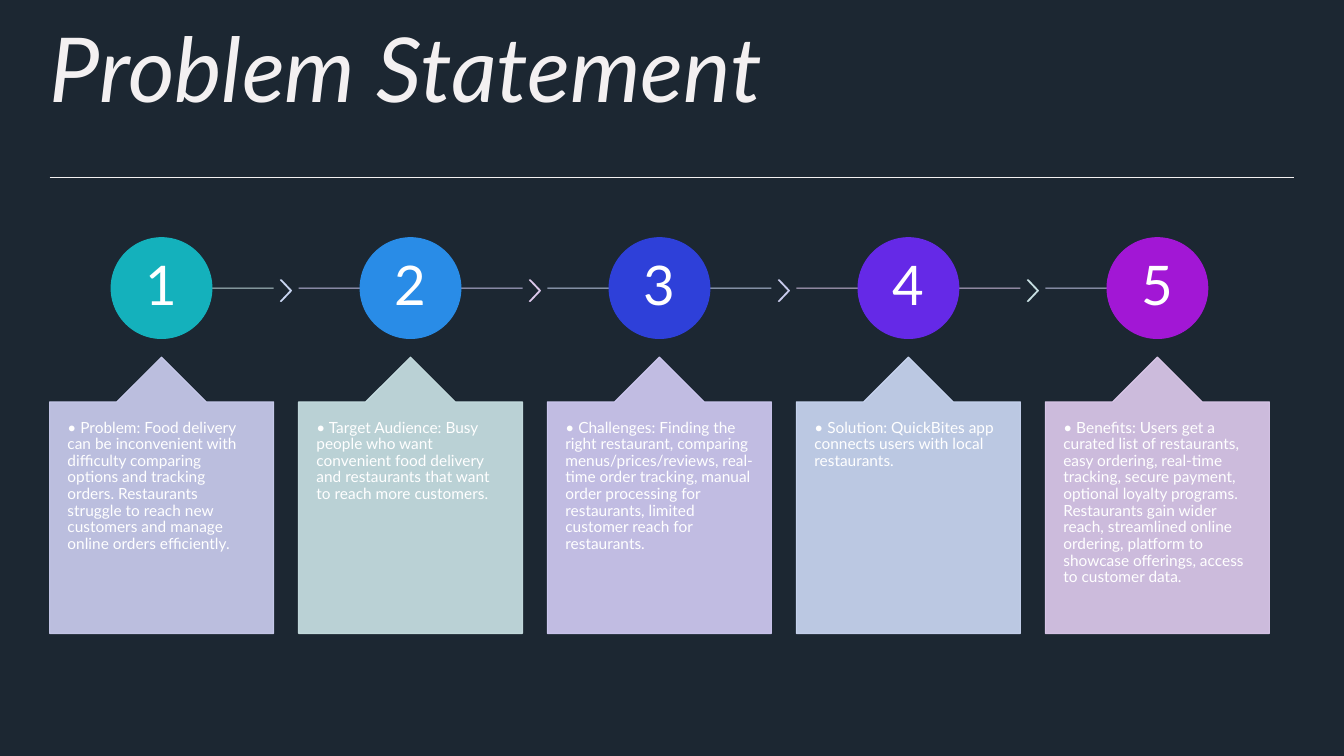
from lxml.etree import SubElement
from pptx import Presentation
from pptx.dml.color import RGBColor
from pptx.enum.shapes import MSO_CONNECTOR as Connector, MSO_SHAPE as Shape
from pptx.enum.text import MSO_ANCHOR as Anchor, PP_ALIGN as Align
from pptx.oxml.ns import qn
from pptx.util import Pt

# Content
TITLE = "Problem Statement"
# circle colour, card colour, connecting line colour, chevron colour, text
STEPS = [
    ("14B1BC", "CDCFF1", "CCE4E7", "CDDAF6",
     "• Problem: Food delivery can be inconvenient with difficulty comparing "
     "options and tracking orders. Restaurants struggle to reach new customers "
     "and manage online orders efficiently."),
    ("298CE7", "CCE4E7", "D3CDF6", "E0CCEF",
     "• Target Audience: Busy people who want convenient food delivery and "
     "restaurants that want to reach more customers."),
    ("2E40D9", "D3CDF6", "CDDAF6", "CDCFF1",
     "• Challenges: Finding the right restaurant, comparing "
     "menus/prices/reviews, real-time order tracking, manual order processing "
     "for restaurants, limited customer reach for restaurants."),
    ("6529E7", "CDDAF6", "E0CCEF", "CCE4E7",
     "• Solution: QuickBites app connects users with local restaurants."),
    ("A217D5", "E0CCEF", "CDCFF1", None,
     "• Benefits: Users get a curated list of restaurants, easy ordering, "
     "real-time tracking, secure payment, optional loyalty programs. "
     "Restaurants gain wider reach, streamlined online ordering, platform to "
     "showcase offerings, access to customer data."),
]
BACKGROUND, LIGHT, WHITE = "1C2732", "F3F0F1", "FFFFFF"
FONT = "Lato"

# Layout, in points
LEFT, CONTENT_WIDTH = 35.4, 889.2
CARD_WIDTH, CARD_HEIGHT, CARD_TOP, PITCH = 160, 197.5, 255, 177.84
CIRCLE, AXIS = 72, 205.8
CHEVRON_WIDTH, CHEVRON_HEIGHT, CHEVRON_TOP = 8, 15.2, 200


def paint(color_format, color, opacity=100):
    color_format.fore_color.rgb = RGBColor.from_string(color)
    if opacity < 100:
        element = color_format._xPr.find(qn("a:solidFill"))[0]
        SubElement(element, qn("a:alpha"), val=str(opacity * 1000))


def add_shape(kind, left, top, width, height, color, opacity=100):
    shape = slide.shapes.add_shape(kind, Pt(left), Pt(top), Pt(width), Pt(height))
    shape.shadow.inherit = False
    shape.fill.solid()
    paint(shape.fill, color, opacity)
    shape.line.width = Pt(0.75)
    shape.line.fill.solid()
    paint(shape.line.fill, color, opacity)
    return shape


def add_line(start, end, y, color, width, opacity=100):
    line = slide.shapes.add_connector(Connector.STRAIGHT, Pt(start), Pt(y), Pt(end), Pt(y))
    SubElement(line._element.spPr, qn("a:effectLst"))
    line.line.width = Pt(width)
    line.line.fill.solid()
    paint(line.line.fill, color, opacity)


def write(shape, text, size, color, inset, anchor=Anchor.TOP, align=Align.LEFT, italic=False):
    frame = shape.text_frame
    frame.word_wrap = True
    frame.vertical_anchor = anchor
    frame.margin_left = frame.margin_right = Pt(inset)
    frame.margin_top = frame.margin_bottom = Pt(inset)
    paragraph = frame.paragraphs[0]
    paragraph.text = text
    paragraph.alignment = align
    paragraph.line_spacing = 0.9
    font = paragraph.font
    font.name, font.size, font.italic = FONT, Pt(size), italic
    font.color.rgb = RGBColor.from_string(color)


presentation = Presentation()
presentation.slide_width, presentation.slide_height = Pt(960), Pt(540)
slide = presentation.slides.add_slide(presentation.slide_layouts[6])
slide.background.fill.solid()
paint(slide.background.fill, BACKGROUND)

# Title and rule
title = slide.shapes.add_textbox(Pt(LEFT), Pt(18), Pt(CONTENT_WIDTH), Pt(78))
write(title, TITLE, 64, LIGHT, 0, italic=True)
add_line(LEFT, LEFT + CONTENT_WIDTH, 126.8, LIGHT, 0.5)

# Steps: line, chevron, numbered circle and card
for index, (circle_color, card_color, line_color, chevron_color, text) in enumerate(STEPS):
    left = LEFT + index * PITCH
    right = left + CARD_WIDTH
    center = left + CARD_WIDTH / 2
    line_start = center if index == 0 else left
    line_end = center if index == len(STEPS) - 1 else right
    add_line(line_start, line_end, AXIS, line_color, 0.75, 90)

    if chevron_color:
        gap_center = right + (PITCH - CARD_WIDTH) / 2
        chevron = add_shape(Shape.CHEVRON, gap_center - CHEVRON_WIDTH / 2, CHEVRON_TOP,
                            CHEVRON_WIDTH, CHEVRON_HEIGHT, chevron_color, 90)
        chevron.adjustments[0] = 0.9

    circle = add_shape(Shape.OVAL, center - CIRCLE / 2, AXIS - CIRCLE / 2,
                       CIRCLE, CIRCLE, circle_color)
    write(circle, str(index + 1), 39, WHITE, 3, Anchor.MIDDLE, Align.CENTER)

    card = add_shape(Shape.UP_ARROW_CALLOUT, left, CARD_TOP,
                     CARD_WIDTH, CARD_HEIGHT, card_color, 90)
    for number, value in enumerate((0.5, 0.2, 0.2, 1)):
        card.adjustments[number] = value
    write(card, text, 11, WHITE, 12.8)

presentation.save("out.pptx")
